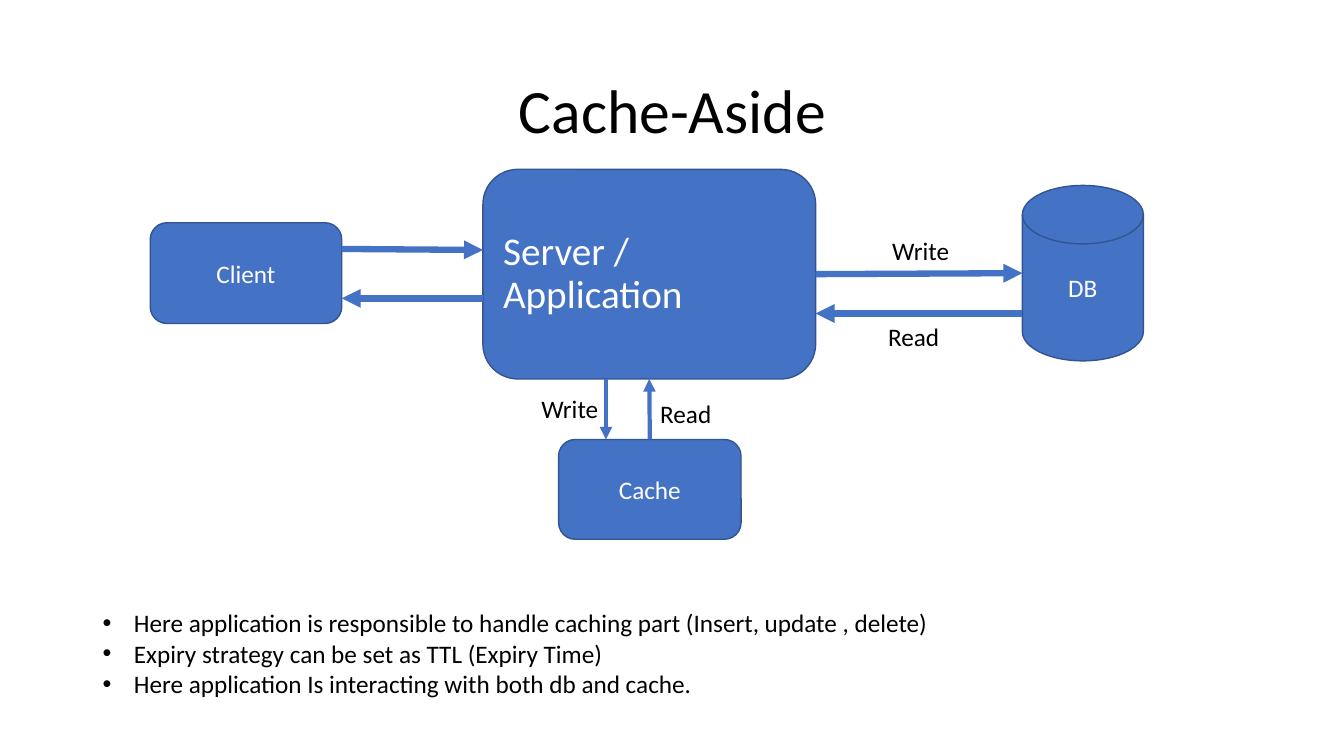
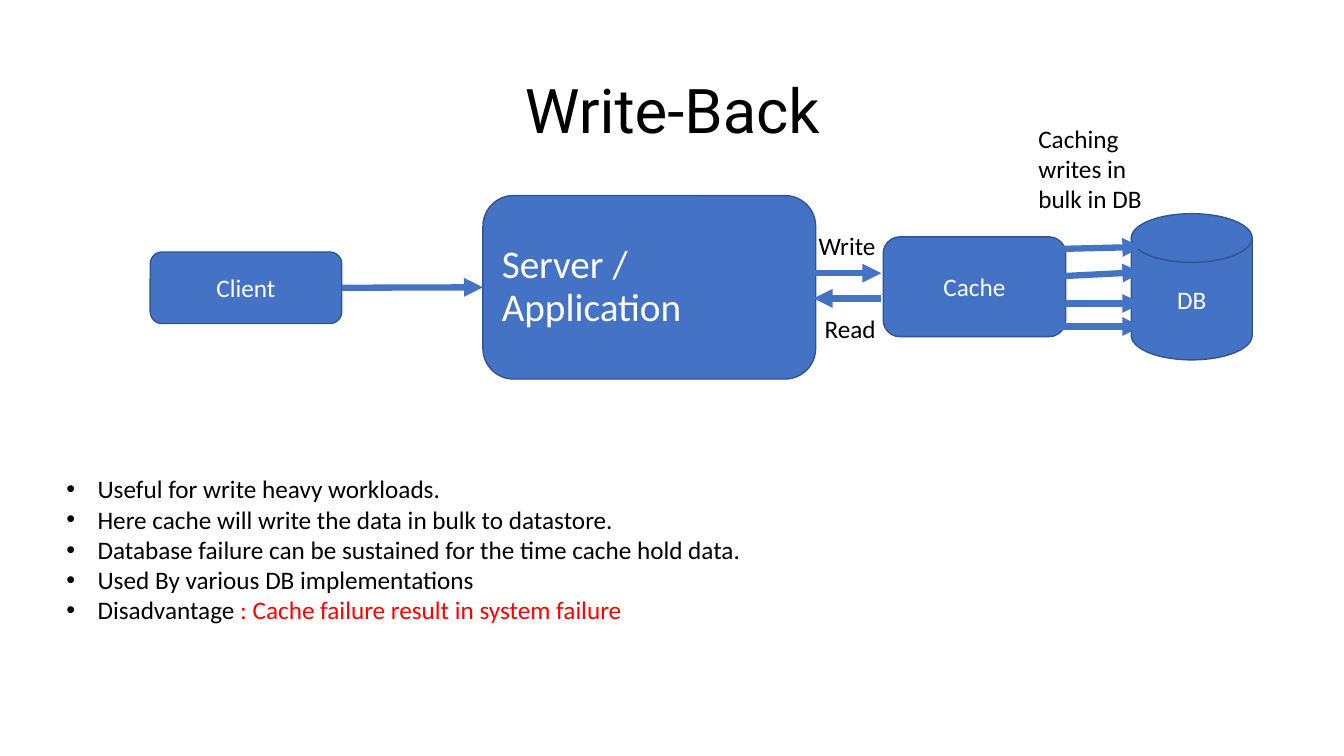
"""Build two slides that compare the cache-aside and write-back caching patterns."""
from dataclasses import dataclass

from pptx import Presentation
from pptx.dml.color import RGBColor
from pptx.enum import shapes, text
from pptx.oxml.ns import qn
from pptx.util import Inches, Pt


@dataclass(frozen=True)
class Theme:
    blue: str = "4472C4"
    edge: str = "325491"
    ink: str = "000000"
    light: str = "FFFFFF"
    alert: str = "FF0000"
    font: str = "Calibri"
    title: int = 44
    server: int = 28
    body: int = 18


theme = Theme()
LEFT, CENTER = text.PP_ALIGN.LEFT, text.PP_ALIGN.CENTER
TOP, MIDDLE = text.MSO_ANCHOR.TOP, text.MSO_ANCHOR.MIDDLE
ROUNDED = shapes.MSO_SHAPE.ROUNDED_RECTANGLE
CYLINDER = shapes.MSO_SHAPE.FLOWCHART_MAGNETIC_DISK
SIDE_TOP, SIDE_LEFT, SIDE_BOTTOM, SIDE_RIGHT = range(4)


def write(holder, paragraphs, size=theme.body, color=theme.ink, font=theme.font,
          align=LEFT, anchor=TOP, spacing=None, before=0, bullet=None):
    """Fill a shape with paragraphs, each a list of (words, colour or None)."""
    frame = holder.text_frame
    frame.word_wrap = True
    frame.vertical_anchor = anchor
    for number, runs in enumerate(paragraphs):
        paragraph = frame.paragraphs[0] if number == 0 else frame.add_paragraph()
        paragraph.alignment = align
        paragraph.line_spacing = spacing
        paragraph.space_before = Pt(before)
        if bullet:
            properties = paragraph._p.get_or_add_pPr()
            properties.set("marL", str(Inches(0.31)))
            properties.set("indent", str(-Inches(0.31)))
            marker_font = properties.makeelement(qn("a:buFont"), {"typeface": "Arial"})
            marker = properties.makeelement(qn("a:buChar"), {"char": bullet})
            properties.extend([marker_font, marker])
        for words, run_color in runs:
            run = paragraph.add_run()
            run.text = words
            run.font.size = Pt(size)
            run.font.name = font
            run.font.color.rgb = RGBColor.from_string(run_color or color)


def add_arrow(slide, start, end, weight=4.5, joins=(None, None)):
    """Draw an arrow; each join is None or a (shape, side) pair."""
    arrow = slide.shapes.add_connector(
        shapes.MSO_CONNECTOR.STRAIGHT, *(Inches(value) for value in (*start, *end)))
    for connect, join in zip((arrow.begin_connect, arrow.end_connect), joins):
        if join:
            connect(*join)
    arrow.line.color.rgb = RGBColor.from_string(theme.blue)
    arrow.line.width = Pt(weight)
    line = arrow.line._get_or_add_ln()
    line.append(line.makeelement(qn("a:tailEnd"), {"type": "triangle"}))
    properties = arrow._element.spPr
    properties.append(properties.makeelement(qn("a:effectLst"), {}))


patterns = [
    {
        "title": "Cache-Aside", "title_font": theme.font,
        "nodes": {
            "Client": (1.49, 2.21, 1.9, 1),
            "Server / Application": (4.79, 1.68, 3.3, 2.08),
            "DB": (10.14, 1.84, 1.2, 1.74),
            "Cache": (5.54, 4.36, 1.81, 0.99),
        },
        "arrows": [
            ((3.39, 2.47), (4.79, 2.48), 4.5, None, None),
            ((4.79, 2.96), (3.39, 2.96), 4.5, None, None),
            ((8.09, 2.72), (10.14, 2.71), 4.5, ("Server / Application", SIDE_RIGHT), None),
            ((10.14, 3.11), (8.09, 3.11), 4.5, None, None),
            ((6.01, 3.76), (6.01, 4.36), 3, None, None),
            ((6.44, 4.36), (6.44, 3.76), 3,
             ("Cache", SIDE_TOP), ("Server / Application", SIDE_BOTTOM)),
        ],
        "labels": [
            ("Write", 8.75, 2.29, 0.95, 0.4), ("Read", 8.71, 3.14, 1.03, 0.4),
            ("Write", 5.27, 3.85, 0.95, 0.4), ("Read", 6.45, 3.9, 1.03, 0.4),
        ],
        "notes_at": (0.92, 5.98, 12.03, 1.01),
        "notes": [
            [("Here application is responsible to handle caching part "
              "(Insert, update , delete)", None)],
            [("Expiry strategy can be set as TTL (Expiry Time)", None)],
            [("Here application Is interacting with both db and cache.", None)],
        ],
    },
    {
        "title": "Write-Back", "title_font": "Roboto",
        "nodes": {
            "Client": (1.49, 2.5, 1.9, 0.71),
            "Server / Application": (4.79, 1.94, 3.3, 1.82),
            "DB": (11.22, 2.12, 1.2, 1.45),
            "Cache": (8.76, 2.35, 1.81, 0.99),
        },
        "arrows": [
            ((3.39, 2.85), (4.79, 2.85), 4.5,
             ("Client", SIDE_RIGHT), ("Server / Application", SIDE_LEFT)),
            ((8.07, 2.71), (8.74, 2.71), 4.5, None, None),
            ((8.74, 2.96), (8.07, 2.96), 4.5, None, None),
            ((10.5, 2.47), (11.32, 2.45), 4.5, None, None),
            ((10.53, 2.74), (11.32, 2.7), 4.5, None, None),
            ((10.56, 3.01), (11.32, 3.01), 4.5, None, None),
            ((10.52, 3.24), (11.32, 3.24), 4.5, None, None),
        ],
        "labels": [
            ("Write", 8.02, 2.24, 0.95, 0.4), ("Read", 8.08, 3.06, 1.03, 0.4),
            ("Caching writes in bulk in DB", 10.2, 1.17, 1.47, 1.01),
        ],
        "notes_at": (0.56, 4.65, 12.03, 2.52),
        "notes": [
            [("Useful for write heavy workloads.", None)],
            [("Here cache will write the data in bulk to datastore.", None)],
            [("Database failure can be sustained for the time cache hold data.", None)],
            [("Used By various DB implementations", None)],
            [("Disadvantage", None),
             (" : Cache failure result in system failure", theme.alert)],
        ],
    },
]

deck = Presentation()
deck.slide_width, deck.slide_height = Inches(13.33), Inches(7.5)

for pattern in patterns:
    slide = deck.slides.add_slide(deck.slide_layouts[6])
    title = slide.shapes.add_textbox(Inches(0.92), Inches(0.4), Inches(11.5), Inches(1.45))
    write(title, [[(pattern["title"], None)]], size=theme.title,
          font=pattern["title_font"], align=CENTER, anchor=MIDDLE, spacing=0.9)

    nodes = {}
    for name, place in pattern["nodes"].items():
        outline = CYLINDER if name == "DB" else ROUNDED
        node = slide.shapes.add_shape(outline, *(Inches(value) for value in place))
        node.shadow.inherit = False
        node.fill.solid()
        node.fill.fore_color.rgb = RGBColor.from_string(theme.blue)
        node.line.color.rgb = RGBColor.from_string(theme.edge)
        node.line.width = Pt(1)
        if name.startswith("Server"):
            style = {"size": theme.server, "spacing": 0.9, "before": 10}
        else:
            style = {"align": CENTER}
        write(node, [[(name, None)]], color=theme.light, anchor=MIDDLE, **style)
        nodes[name] = node

    for start, end, weight, *joins in pattern["arrows"]:
        add_arrow(slide, start, end, weight,
                  [join and (nodes[join[0]], join[1]) for join in joins])

    for words, *place in pattern["labels"]:
        label = slide.shapes.add_textbox(*(Inches(value) for value in place))
        write(label, [[(words, None)]])

    notes = slide.shapes.add_textbox(*(Inches(value) for value in pattern["notes_at"]))
    write(notes, pattern["notes"], bullet="•")

deck.save("out.pptx")
